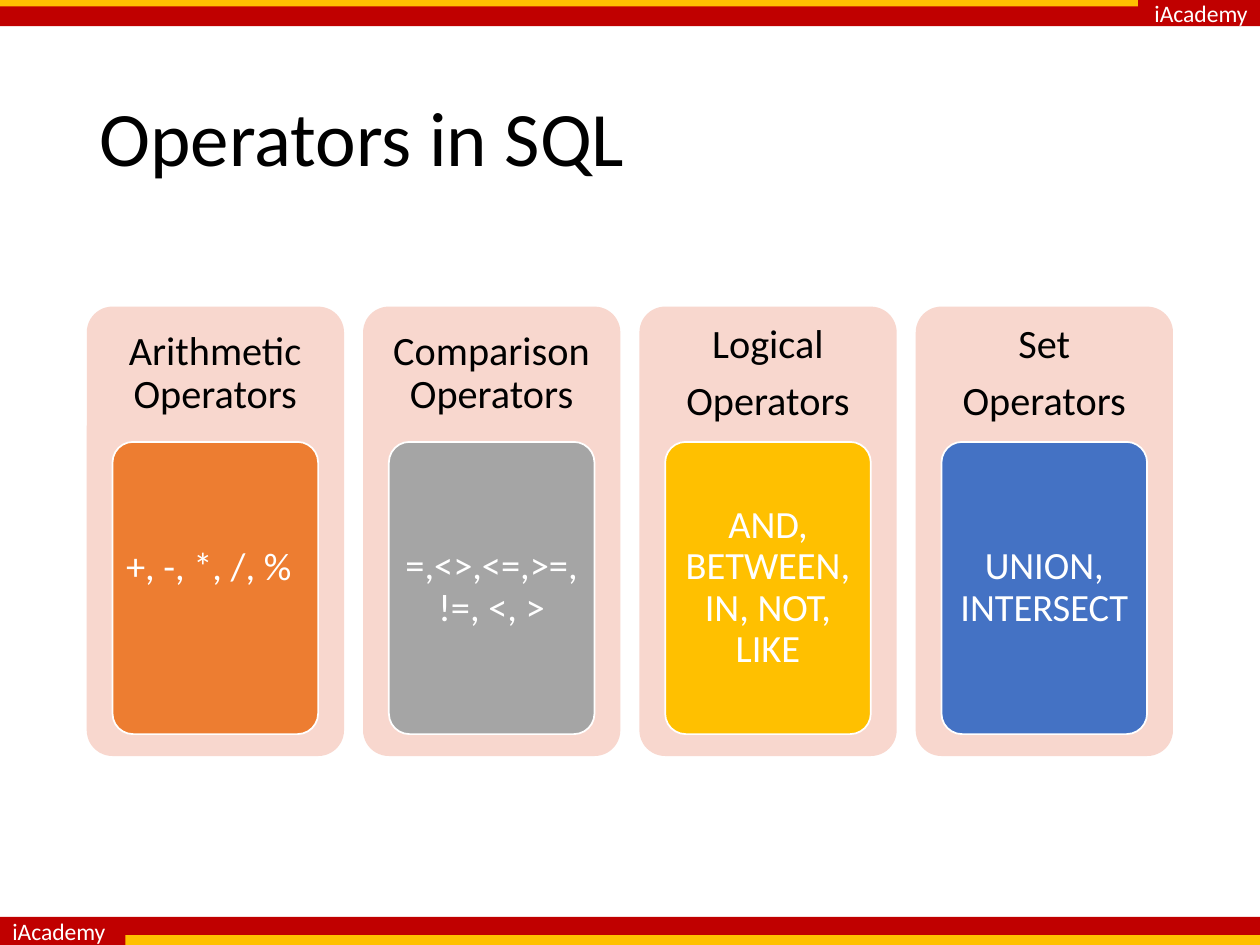
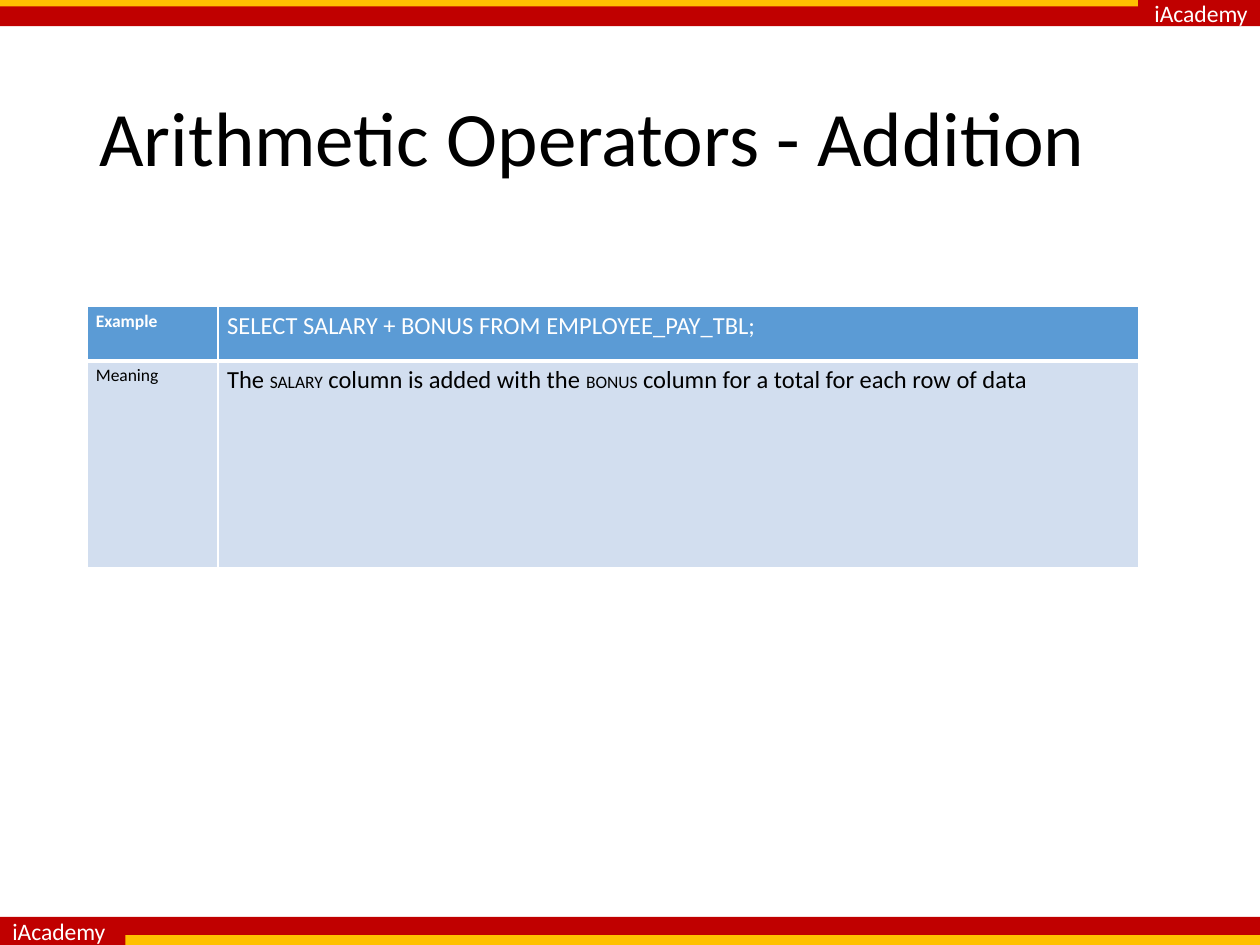
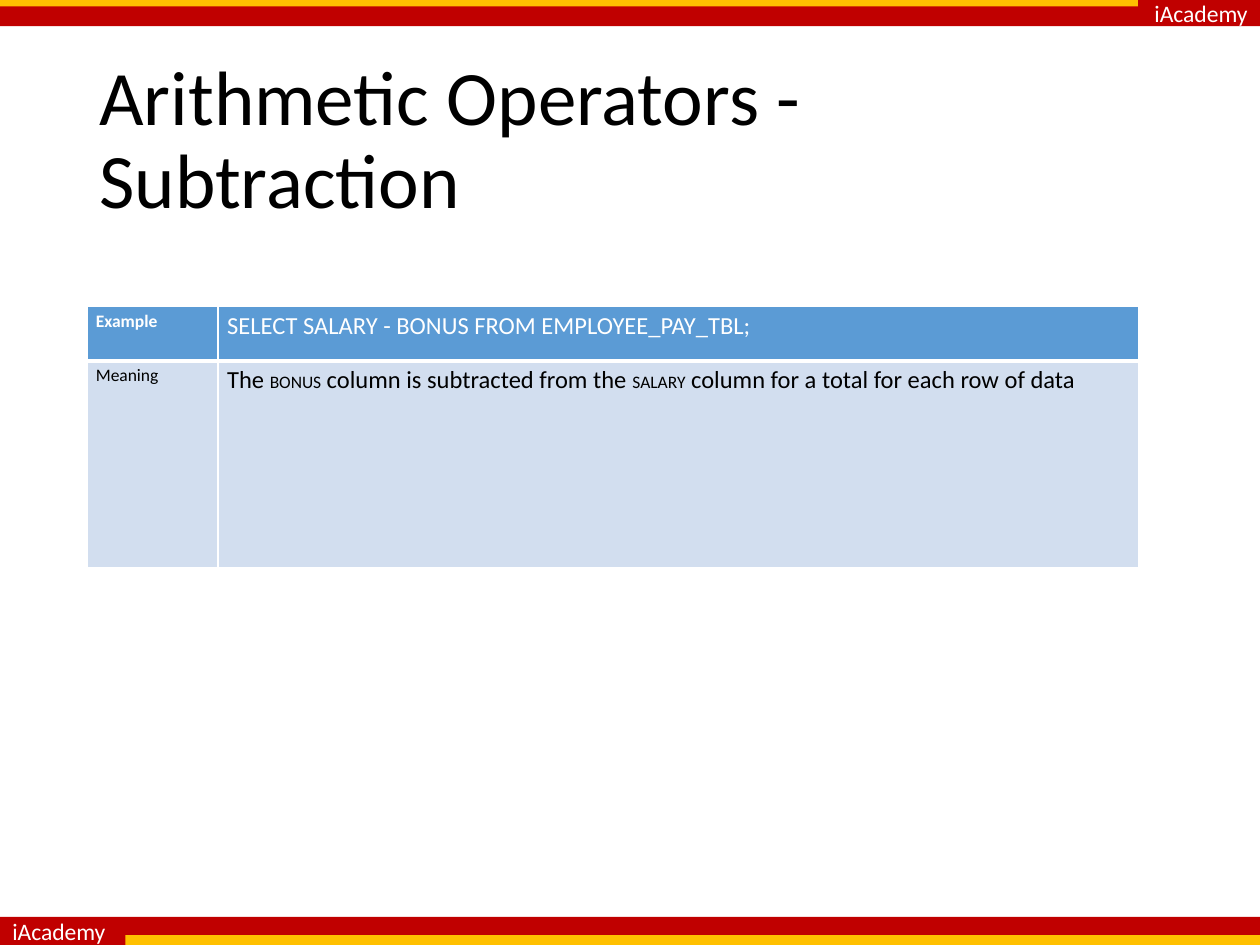
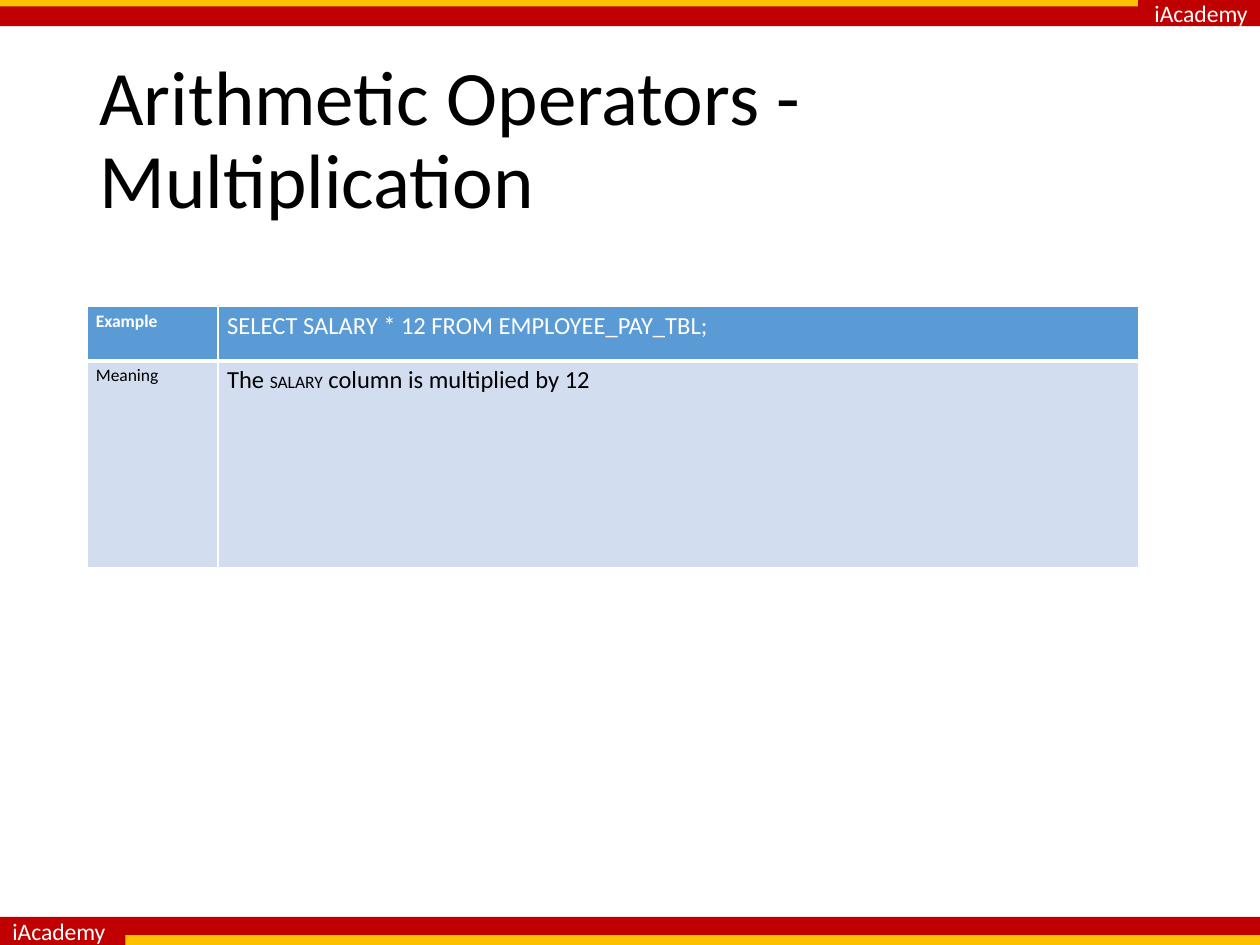
from lxml.etree import SubElement
from pptx import Presentation
from pptx.dml.color import RGBColor
from pptx.enum.shapes import MSO_SHAPE
from pptx.enum.text import MSO_ANCHOR, MSO_AUTO_SIZE, PP_ALIGN
from pptx.oxml.ns import qn
from pptx.util import Pt

RED = RGBColor(0xC0, 0x00, 0x00)
GOLD = RGBColor(0xFF, 0xC0, 0x00)
WHITE = RGBColor(0xFF, 0xFF, 0xFF)
BLACK = RGBColor(0x00, 0x00, 0x00)
PINK = RGBColor(0xF8, 0xD7, 0xCE)
ORANGE = RGBColor(0xED, 0x7D, 0x31)
GRAY = RGBColor(0xA5, 0xA5, 0xA5)
BLUE = RGBColor(0x44, 0x72, 0xC4)
HEADER_BLUE = RGBColor(0x5B, 0x9B, 0xD5)
PALE_BLUE = RGBColor(0xD2, 0xDE, 0xEF)
FONT = "Calibri"
LEFT, CONTENT_TOP = 49.6, 175.2


def add_block(slide, preset, left, top, width, height, color):
    block = slide.shapes.add_shape(preset, Pt(left), Pt(top), Pt(width), Pt(height))
    block.shadow.inherit = False
    block.fill.solid()
    block.fill.fore_color.rgb = color
    block.line.fill.background()
    return block


def style(paragraph, size, color, align=PP_ALIGN.LEFT, spacing=1.0):
    paragraph.alignment = align
    paragraph.line_spacing = spacing
    paragraph.font.name = FONT
    paragraph.font.size = Pt(size)
    paragraph.font.color.rgb = color


prs = Presentation()
prs.slide_width, prs.slide_height = Pt(720), Pt(540)
layout = prs.slide_layouts[5]
for placeholder in list(layout.placeholders)[1:]:
    layout.shapes.element.remove(placeholder.element)

slides = []
for heading in ("Operators in SQL", "Arithmetic Operators - Addition",
                "Arithmetic Operators - Subtraction",
                "Arithmetic Operators - Multiplication"):
    slide = prs.slides.add_slide(layout)
    title = slide.shapes.title
    title.left, title.top, title.width, title.height = Pt(LEFT), Pt(28.8), Pt(621), Pt(104.4)
    title.text_frame.text = heading
    title.text_frame.auto_size = MSO_AUTO_SIZE.NONE
    title.text_frame.vertical_anchor = MSO_ANCHOR.MIDDLE
    style(title.text_frame.paragraphs[0], 44, BLACK, spacing=0.9)
    slides.append(slide)

operators, *examples = slides

# The bands live on the layout, so every slide shows them.
for left, top, width, height, color, label_align in (
    (0, 0, 720, 15, RED, PP_ALIGN.RIGHT),
    (0, 524, 720, 16, RED, PP_ALIGN.LEFT),
    (0, 0, 650.3, 3.7, GOLD, None),
    (71.7, 534.4, 648.3, 5.6, GOLD, None),
):
    band = add_block(operators, MSO_SHAPE.RECTANGLE, left, top, width, height, color)
    if label_align is not None:
        band.text_frame.text = "iAcademy"
        band.text_frame.word_wrap = False
        band.text_frame.vertical_anchor = MSO_ANCHOR.MIDDLE
        style(band.text_frame.paragraphs[0], 13.5, WHITE, label_align)
    layout.shapes.element.append(band.element)

for column, (category, symbols, color, extra_right, extra_bottom) in enumerate((
    ("Arithmetic Operators", "+, -, *, /, %", ORANGE, 7.5, 23),
    ("Comparison Operators", "=,<>,<=,>=, !=, <, >", GRAY, 0, 0),
    ("Logical\nOperators", "AND, BETWEEN, IN, NOT, LIKE", GOLD, 0, 0),
    ("Set\nOperators", "UNION, INTERSECT", BLUE, 0, 0),
)):
    left = LEFT + 157.9 * column
    card = add_block(operators, MSO_SHAPE.ROUNDED_RECTANGLE, left, CONTENT_TOP, 147, 256.8, PINK)
    card.adjustments[0] = 0.1

    name = operators.shapes.add_textbox(Pt(left), Pt(CONTENT_TOP), Pt(147), Pt(77)).text_frame
    name.text = category
    name.word_wrap = True
    name.vertical_anchor = MSO_ANCHOR.MIDDLE
    for paragraph in name.paragraphs:
        style(paragraph, 23, BLACK, PP_ALIGN.CENTER, 0.9)
        paragraph.space_after = Pt(8)

    tile = add_block(operators, MSO_SHAPE.ROUNDED_RECTANGLE, left + 14.7, 252.5, 117.5, 167, color)
    tile.adjustments[0] = 0.1
    tile.line.color.rgb = WHITE
    tile.line.width = Pt(1)
    listing = tile.text_frame
    listing.text = symbols
    listing.word_wrap = True
    listing.vertical_anchor = MSO_ANCHOR.MIDDLE
    listing.margin_left, listing.margin_top = Pt(4.2), Pt(3.6)
    listing.margin_right, listing.margin_bottom = Pt(4.2 + extra_right), Pt(3.6 + extra_bottom)
    style(listing.paragraphs[0], 22, WHITE, PP_ALIGN.CENTER, 0.9)

statements = (
    ("SELECT SALARY + BONUS FROM EMPLOYEE_PAY_TBL;",
     ("The ", "SALARY", " column is added with the ", "BONUS",
      " column for a total for each row of data")),
    ("SELECT SALARY - BONUS FROM EMPLOYEE_PAY_TBL;",
     ("The ", "BONUS", " column is subtracted from the ", "SALARY",
      " column for a total for each row of data")),
    ("SELECT SALARY * 12 FROM EMPLOYEE_PAY_TBL;",
     ("The ", "SALARY", " column is multiplied by 12")),
)
for slide, (query, meaning) in zip(examples, statements):
    table = slide.shapes.add_table(2, 2, Pt(LEFT), Pt(CONTENT_TOP), Pt(601.2), Pt(149)).table
    table.horz_banding = False
    table.columns[0].width, table.columns[1].width = Pt(75), Pt(526.2)
    table.rows[0].height, table.rows[1].height = Pt(31), Pt(118)
    rows = ((("Example",), (query,)), (("Meaning",), meaning))
    for row, (contents, fill, color) in enumerate(zip(rows, (HEADER_BLUE, PALE_BLUE), (WHITE, BLACK))):
        for column, (parts, size) in enumerate(zip(contents, (10, 14))):
            cell = table.cell(row, column)
            cell.margin_left = cell.margin_right = Pt(5.2)
            cell.margin_top = cell.margin_bottom = Pt(2.6)
            properties = cell._tc.get_or_add_tcPr()
            divider = "lnT" if row else "lnB"
            for side in ("lnL", "lnR", "lnT", "lnB"):
                border = SubElement(properties, qn(f"a:{side}"), w=str(Pt(3 if side == divider else 1)))
                SubElement(SubElement(border, qn("a:solidFill")), qn("a:srgbClr"), val=str(WHITE))
            cell.fill.solid()
            cell.fill.fore_color.rgb = fill
            paragraph = cell.text_frame.paragraphs[0]
            style(paragraph, size, color)
            paragraph.font.bold = row == 0 and column == 0
            for index, part in enumerate(parts):
                run = paragraph.add_run()
                run.text = part
                run.font.size = Pt(10 if index % 2 else size)

prs.save("out.pptx")
